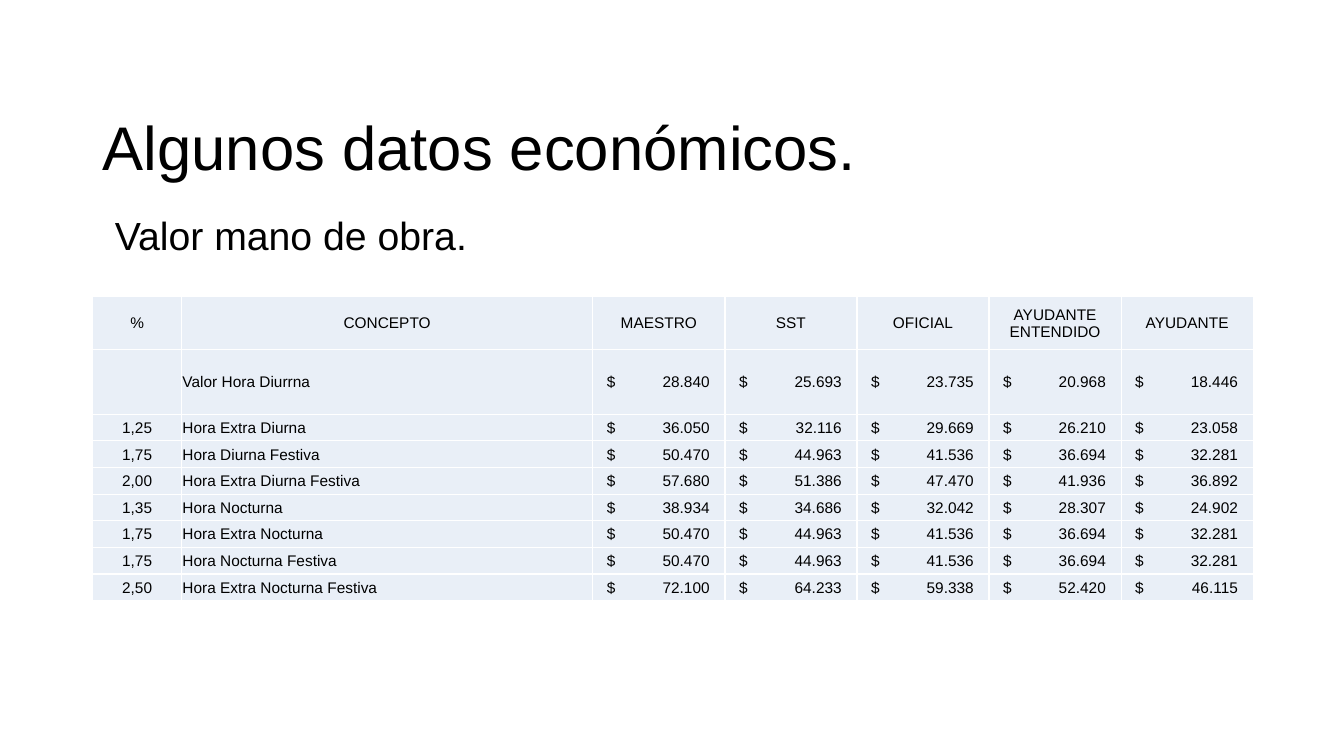
"""Build a slide with a table of hourly labour costs."""
from lxml.etree import SubElement
from pptx import Presentation
from pptx.dml.color import RGBColor
from pptx.enum.text import MSO_ANCHOR, PP_ALIGN
from pptx.oxml import parse_xml
from pptx.oxml.ns import nsdecls, qn
from pptx.util import Inches, Pt

BLACK = RGBColor(0x00, 0x00, 0x00)
PALE = RGBColor(0xE9, 0xEF, 0xF7)
WHITE = RGBColor(0xFF, 0xFF, 0xFF)

HEADS = ["%", "CONCEPTO", "MAESTRO", "SST", "OFICIAL", "AYUDANTE ENTENDIDO", "AYUDANTE"]
RATES = [
    ("", "Valor Hora Diurrna", "28.840", "25.693", "23.735", "20.968", "18.446"),
    ("1,25", "Hora Extra Diurna", "36.050", "32.116", "29.669", "26.210", "23.058"),
    ("1,75", "Hora Diurna Festiva", "50.470", "44.963", "41.536", "36.694", "32.281"),
    ("2,00", "Hora Extra Diurna Festiva", "57.680", "51.386", "47.470", "41.936", "36.892"),
    ("1,35", "Hora Nocturna", "38.934", "34.686", "32.042", "28.307", "24.902"),
    ("1,75", "Hora Extra Nocturna", "50.470", "44.963", "41.536", "36.694", "32.281"),
    ("1,75", "Hora Nocturna Festiva", "50.470", "44.963", "41.536", "36.694", "32.281"),
    ("2,50", "Hora Extra Nocturna Festiva", "72.100", "64.233", "59.338", "52.420", "46.115"),
]
WIDTHS = [0.88, 4.08] + [1.31] * 5
HEIGHTS = [0.53, 0.64] + [(3.02 - 0.53 - 0.64) / 7] * 7


def style(para, size):
    font = para.font
    for name, value in {"name": "Arial", "size": Pt(size)}.items():
        setattr(font, name, value)
    font.color.rgb = BLACK


prs = Presentation()
prs.slide_width = Inches(13.33)
prs.slide_height = Inches(7.5)
slide = prs.slides.add_slide(prs.slide_layouts[6])

for text, top, height, size, left, before, anchor in [
    ("Algunos datos económicos.", 0.74, 1.5, 44, 0.1, 0, MSO_ANCHOR.MIDDLE),
    ("Valor mano de obra.", 2.1, 4.66, 28, 0.22, 10, MSO_ANCHOR.TOP),
]:
    box = slide.shapes.add_textbox(Inches(0.92), Inches(top), Inches(11.5), Inches(height))
    frame = box.text_frame
    for name, value in {
        "word_wrap": True, "vertical_anchor": anchor, "margin_left": Inches(left),
    }.items():
        setattr(frame, name, value)
    para = frame.paragraphs[0]
    para.text = text
    para.line_spacing = 0.9
    para.space_before = Pt(before)
    style(para, size)

grid = slide.shapes.add_table(
    len(HEIGHTS), len(WIDTHS), Inches(0.92), Inches(2.94), Inches(11.5), Inches(3.02)
).table
grid.first_row = False
grid.horz_banding = False
for col, width in zip(grid.columns, WIDTHS):
    col.width = Inches(width)
for row, height in zip(grid.rows, HEIGHTS):
    row.height = Inches(height)

for r, line in enumerate([HEADS] + RATES):
    for c, text in enumerate(line):
        cell = grid.cell(r, c)
        money = r > 0 and c > 1
        for name, value in {
            "vertical_anchor": MSO_ANCHOR.MIDDLE,
            "margin_left": Inches(0.14 if money else 0.01),
            "margin_right": Inches(0.01),
            "margin_top": Inches(0.01),
            "margin_bottom": 0,
        }.items():
            setattr(cell, name, value)
        cell.fill.solid()
        cell.fill.fore_color.rgb = PALE
        para = cell.text_frame.paragraphs[0]
        para.text = f"$\t{text}" if money else text
        para.alignment = PP_ALIGN.CENTER
        style(para, 11)
        if money:
            para.alignment = PP_ALIGN.LEFT
            tabs = parse_xml(
                f'<a:tabLst {nsdecls("a")}><a:tab pos="{Inches(1.02)}" algn="r"/></a:tabLst>'
            )
            para._p.pPr.insert(0, tabs)
        elif r and c == 1:
            para.alignment = PP_ALIGN.JUSTIFY
        props = cell._tc.get_or_add_tcPr()
        for i, side in enumerate(["lnL", "lnR", "lnT", "lnB"]):
            edge = parse_xml(f'<a:{side} {nsdecls("a")} w="{Pt(1)}"/>')
            fill = SubElement(edge, qn("a:solidFill"))
            SubElement(fill, qn("a:srgbClr"), val=str(WHITE))
            props.insert(i, edge)

prs.save("out.pptx")
